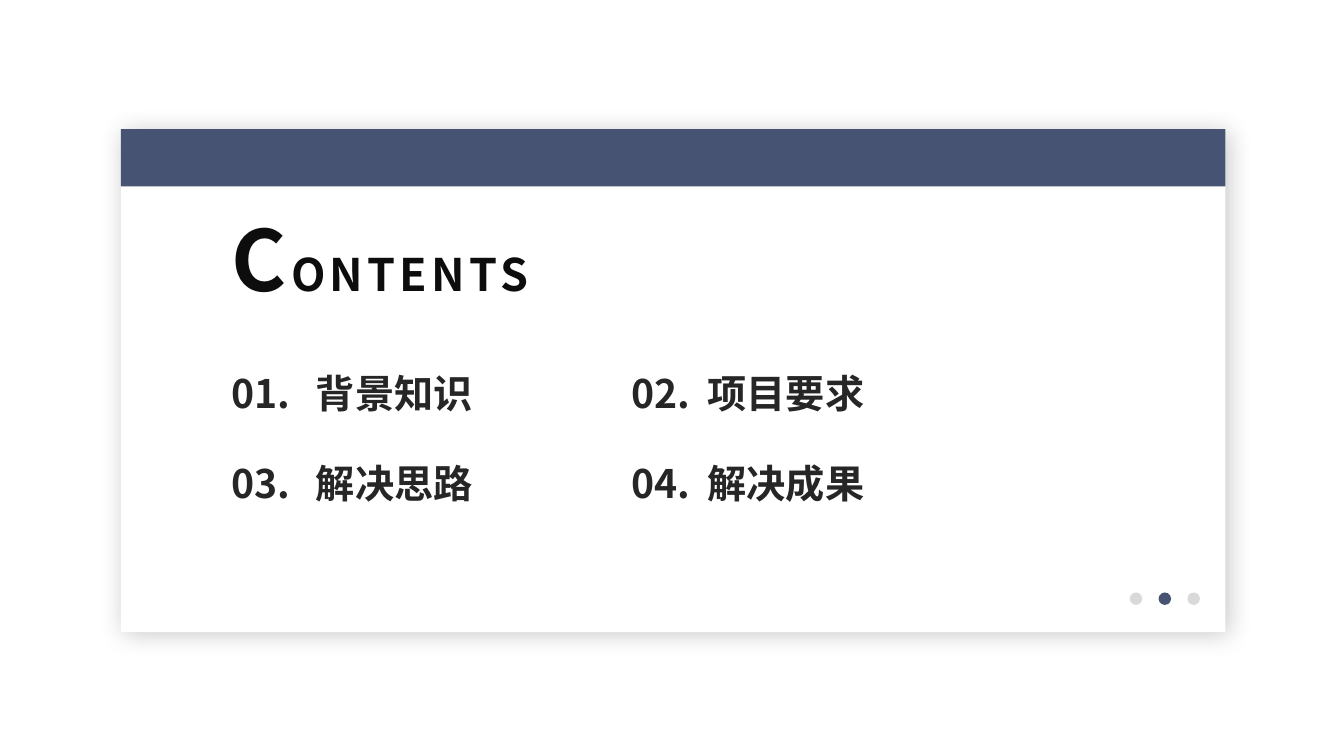
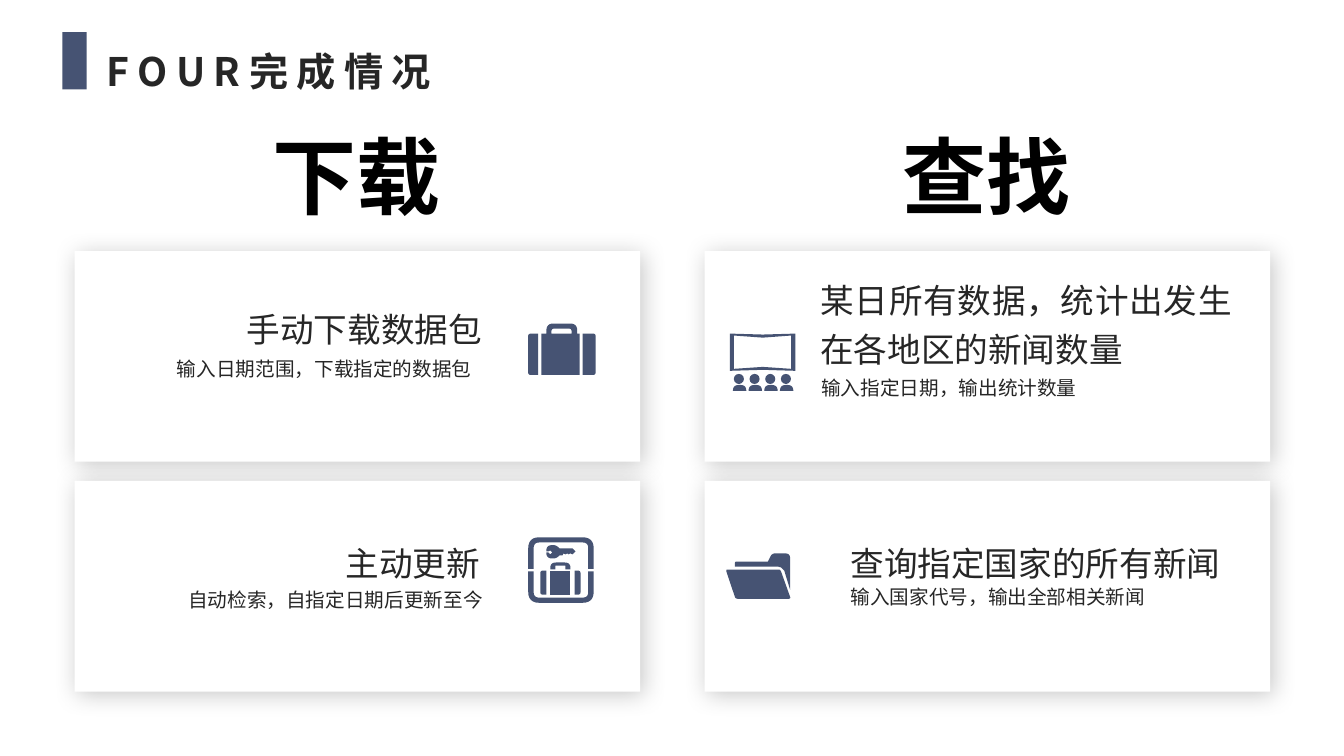
from dataclasses import dataclass

from lxml.etree import SubElement
from pptx import Presentation
from pptx.dml.color import RGBColor
from pptx.enum.shapes import MSO_SHAPE
from pptx.enum.text import MSO_ANCHOR, MSO_AUTO_SIZE, PP_ALIGN
from pptx.oxml.ns import qn
from pptx.util import Pt


@dataclass(frozen=True)
class Theme:
    accent: str = "465373"
    paper: str = "FFFFFF"
    pale: str = "D9D9D9"
    ink: str = "262626"
    title_ink: str = "0D0D0D"
    black: str = "000000"
    body_font: str = "Noto Sans CJK JP"
    display_font: str = "Noto Sans CJK SC"
    huge: int = 60
    large: int = 32
    title: int = 28
    heading: int = 24
    detail: int = 14


THEME = Theme()


def write(paragraph, text, *, size, color=THEME.ink, bold=False, spacing=0,
          font=THEME.body_font):
    """Append one formatted run to a paragraph; spacing is in points."""
    run = paragraph.add_run()
    run.text = text
    run.font.size = Pt(size)
    run.font.bold = bold
    run.font.color.rgb = RGBColor.from_string(color)
    run.font.name = font
    properties = run.font._element
    SubElement(properties, qn("a:ea"), typeface=font)
    if spacing:
        properties.set("spc", str(spacing * 100))


def rounded(contour, steps=6):
    """Expand (x, y, radius) corners into short curved runs of points."""
    def toward(corner, other, distance):
        dx, dy = other[0] - corner[0], other[1] - corner[1]
        share = distance / (dx * dx + dy * dy) ** 0.5
        return corner[0] + dx * share, corner[1] + dy * share

    points = []
    for i, corner in enumerate(contour):
        if len(corner) == 2:
            points.append(corner)
            continue
        start = toward(corner, contour[i - 1], corner[2])
        end = toward(corner, contour[(i + 1) % len(contour)], corner[2])
        for step in range(steps + 1):
            t = step / steps
            points.append(tuple((1 - t) ** 2 * a + 2 * t * (1 - t) * b + t * t * c
                                for a, b, c in zip(start, corner, end)))
    return points


def box(left, top, right, bottom, left_radius=0, right_radius=0):
    corners = [(left, top, left_radius), (right, top, right_radius),
               (right, bottom, right_radius), (left, bottom, left_radius)]
    return [corner if corner[2] else corner[:2] for corner in corners]


class Deck:
    def __init__(self, theme):
        self.theme = theme
        self.presentation = Presentation()
        self.presentation.slide_width = Pt(960)
        self.presentation.slide_height = Pt(540)
        self.slide = None

    def new_slide(self):
        title_only = self.presentation.slide_layouts[5]
        self.slide = self.presentation.slides.add_slide(title_only)

    def paint(self, shape, color):
        shape.shadow.inherit = False
        shape.fill.solid()
        shape.fill.fore_color.rgb = RGBColor.from_string(color)
        shape.line.fill.background()
        return shape

    def block(self, left, top, width, height, color, kind=MSO_SHAPE.RECTANGLE):
        shape = self.slide.shapes.add_shape(
            kind, Pt(left), Pt(top), Pt(width), Pt(height))
        return self.paint(shape, color)

    def dot(self, left, top, diameter, color):
        return self.block(left, top, diameter, diameter, color, MSO_SHAPE.OVAL)

    def card(self, left, top, width, height):
        panel = self.block(left, top, width, height, self.theme.paper)
        effects = panel.element.spPr.find(qn("a:effectLst"))
        shadow = SubElement(effects, qn("a:outerShdw"), blurRad=str(Pt(17)),
                            dist=str(Pt(3)), dir="2700000", algn="tl",
                            rotWithShape="0")
        tint = SubElement(shadow, qn("a:srgbClr"), val=self.theme.black)
        SubElement(tint, qn("a:alpha"), val="21000")

    def prepare(self, holder, align, wrap=True):
        frame = holder.text_frame
        frame.word_wrap = wrap
        frame.auto_size = MSO_AUTO_SIZE.SHAPE_TO_FIT_TEXT
        frame.vertical_anchor = MSO_ANCHOR.TOP
        paragraph = frame.paragraphs[0]
        paragraph.alignment = align
        return paragraph

    def title(self, left, top, width, height):
        """Place the title above earlier shapes and return its paragraph."""
        heading = self.slide.shapes.title
        heading.left, heading.top = Pt(left), Pt(top)
        heading.width, heading.height = Pt(width), Pt(height)
        heading.element.getparent().append(heading.element)
        return self.prepare(heading, PP_ALIGN.LEFT)

    def text(self, left, top, width, height, words, *, align=PP_ALIGN.LEFT,
             wrap=True, line_spacing=None, tab=None, **style):
        holder = self.slide.shapes.add_textbox(
            Pt(left), Pt(top), Pt(width), Pt(height))
        paragraph = self.prepare(holder, align, wrap)
        if line_spacing:
            paragraph.line_spacing = line_spacing
        if tab:
            stops = SubElement(paragraph._p.get_or_add_pPr(), qn("a:tabLst"))
            SubElement(stops, qn("a:tab"), pos=str(Pt(tab)), algn="l")
        write(paragraph, words, **style)

    def icon(self, left, top, parts):
        """Draw each part, a list of contours, offset from the icon's corner."""
        for part in parts:
            outline = None
            for contour in part:
                points = [(Pt(left + x), Pt(top + y)) for x, y in rounded(contour)]
                if outline is None:
                    outline = self.slide.shapes.build_freeform(*points[0], scale=1.0)
                else:
                    outline.move_to(*points[0])
                outline.add_line_segments(points[1:], close=True)
            self.paint(outline.convert_to_shape(), self.theme.accent)


# Icon outlines, in points from each icon's top left corner
SUITCASE = [
    [box(0, 7.2, 7.2, 36.7, left_radius=2)],
    [[(9.4, 7.2), (13, 7.2), (13, 0, 5), (35, 0, 5), (35, 7.2), (36.7, 7.2),
      (36.7, 36.7), (9.4, 36.7)],
     [(16.6, 7.2), (16.6, 3.6, 2), (31, 3.6, 2), (31, 7.2)]],
    [box(38.9, 7.2, 48.2, 36.7, right_radius=2)],
]

FRAME_TOP = [(0, 22.5), (0, 0, 8), (46.8, 0, 8), (46.8, 22.5),
             (42.9, 22.5), (42.9, 3.7, 4), (3.9, 3.7, 4), (3.9, 22.5)]
FRAME_BOTTOM = [(x, 46.8 - y, *radius) for x, y, *radius in FRAME_TOP]
KEY = [(31.7, 7.9), (22.3, 7.9), (20, 5.6, 2), (13, 5.6, 4), (13, 10.1),
       (14.4, 10.1), (15.8, 9.4), (17.3, 10.8), (15.8, 12.2), (14.4, 10.8),
       (13, 10.8), (13, 15.1, 4), (20, 15.1, 2), (22.3, 13), (24.5, 13),
       (25.2, 11.5), (26.6, 12.2), (28.1, 11.5), (28.8, 12.2), (30.2, 11.5),
       (31.7, 12.2), (33.8, 10.1)]
HANDLE = [(15.8, 23), (15.8, 18, 4), (30.2, 18, 4), (30.2, 23),
          (26.6, 23), (26.6, 20.2), (19.4, 20.2), (19.4, 23)]
LOCKER = [
    [FRAME_TOP], [FRAME_BOTTOM], [KEY], [HANDLE],
    [box(8.6, 23.8, 13, 41, left_radius=2)],
    [box(15.8, 23.8, 30.2, 41)],
    [box(33.1, 23.8, 37.4, 41, right_radius=2)],
]

SCREEN = [
    [(0, 0), (23.6, 0.7), (46.8, 0), (46.8, 26.6), (23.6, 25.9), (0, 26.6)],
    [(2.9, 1.4), (23.6, 2.9), (43.9, 1.4), (43.9, 25.2), (23.6, 23.8), (2.9, 25.2)],
]
SEAT_PITCH = 11.2
SHOULDERS = [[[(x, 41), (x, 36.7, 4.3), (x + 9.6, 36.7, 4.3), (x + 9.6, 41)]]
             for x in (2.2 + SEAT_PITCH * seat for seat in range(4))]
THEATRE = [SCREEN, *SHOULDERS]

FOLDER = [
    [[(0, 11.5, 1.5), (39, 11.5, 1.5), (46.5, 32.4, 1.5), (7, 32.4, 1.5)]],
    [[(6.5, 9.4), (6.5, 5.8, 1.5), (30.2, 5.8), (33, 0, 2.5), (46, 0, 3.5),
      (46, 26), (41.8, 12.2), (39.6, 10.1), (37.4, 9.4)]],
]


def contents_slide(deck):
    theme = deck.theme
    deck.new_slide()

    # Panel and band
    left, top, width = 86.4, 92.2, 789
    deck.card(left, top, width, 359.3)
    deck.block(left, top, width, 41, theme.accent)

    # Title with a large initial
    title = deck.title(158.4, 144.7, 270, 79.9)
    for letters, size in (("C", theme.huge), ("ONTENTS", theme.large)):
        write(title, letters, size=size, color=theme.title_ink, bold=True,
              spacing=3, font=theme.display_font)

    # Chapters in two columns: left, width, tab stop
    columns = ((158.4, 244.8, 60.2), (444.2, 280.8, 54.2))
    chapters = ("背景知识", "项目要求", "解决思路", "解决成果")
    for i, chapter in enumerate(chapters):
        row, column = divmod(i, 2)
        x, column_width, tab = columns[column]
        deck.text(x, 260 + 64.2 * row, column_width, 41, f"0{i + 1}.\t{chapter}",
                  tab=tab, size=theme.title, bold=True)

    # Progress dots
    for i, color in enumerate((theme.pale, theme.accent, theme.pale)):
        deck.dot(807 + 20.6 * i, 423.2, 8.9, color)


def results_slide(deck):
    theme = deck.theme
    deck.new_slide()

    # Title and marker
    deck.block(44.6, 23, 17.3, 41, theme.accent)
    title = deck.title(69.1, 30.2, 292.3, 41)
    write(title, "FOUR完成情况", size=theme.title, bold=True, spacing=6)

    # Column headings and the grid of cards
    for column, name in enumerate(("下载", "查找")):
        deck.text(187.2 + 450 * column, 85.7, 135.4, 79.9, name,
                  align=PP_ALIGN.CENTER, wrap=False, size=theme.huge,
                  color=theme.black, bold=True)
        for row in range(2):
            deck.card(53.3 + 450 * column, 179.3 + 164.2 * row, 403.9, 150.5)

    # Features: heading, its place; detail, its left and top; alignments
    right, left, justify = PP_ALIGN.RIGHT, PP_ALIGN.LEFT, PP_ALIGN.JUSTIFY
    features = (
        ("手动下载数据包", (162.7, 211.7, 188.6, 38.9),
         "输入日期范围，下载指定的数据包", (73.4, 246.2), right, right),
        ("主动更新", (233.3, 378.7, 116.6, 38.9),
         "自动检索，自指定日期后更新至今", (81.4, 411.1), right, right),
        ("某日所有数据，统计出发生在各地区的新闻数量", (578.9, 190.8, 308.2, 74.2),
         "输入指定日期，输出统计数量", (579.6, 259.9), justify, left),
        ("查询指定国家的所有新闻", (600.5, 378.7, 298.8, 38.9),
         "输入国家代号，输出全部相关新闻", (600.5, 409), justify, left),
    )
    for heading, place, detail, corner, heading_align, detail_align in features:
        deck.text(*place, heading, align=heading_align, line_spacing=1.2,
                  size=theme.heading)
        deck.text(*corner, 270.7, 27.4, detail, align=detail_align,
                  line_spacing=Pt(22), size=theme.detail)

    # Icons
    deck.icon(377.3, 231.1, SUITCASE)
    deck.icon(377.3, 383.8, LOCKER)
    deck.icon(521.3, 238.3, THEATRE)
    deck.icon(518.4, 395.3, FOLDER)
    for seat in range(4):
        deck.dot(524.2 + SEAT_PITCH * seat, 267.1, 7.2, theme.accent)


def main():
    deck = Deck(THEME)
    contents_slide(deck)
    results_slide(deck)
    deck.presentation.save("out.pptx")


if __name__ == "__main__":
    main()
